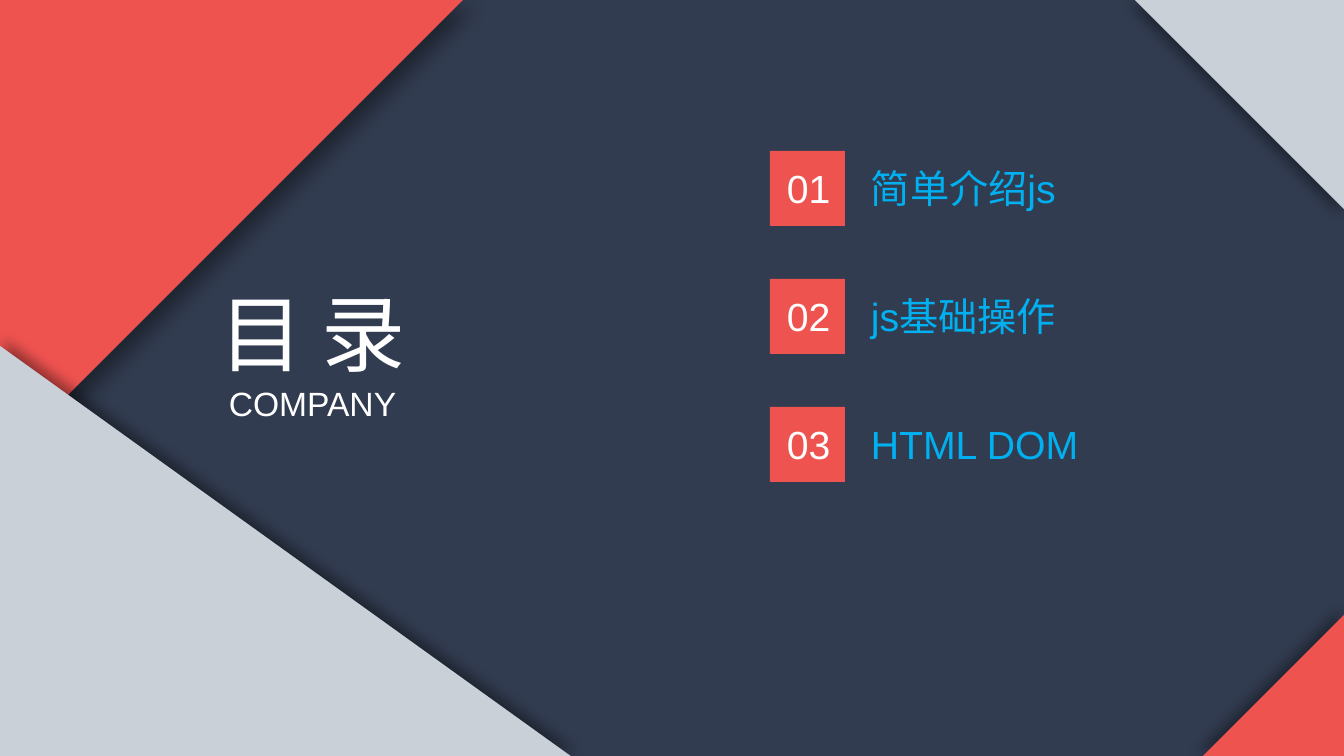
from lxml.etree import SubElement
from pptx import Presentation
from pptx.dml.color import RGBColor
from pptx.enum.shapes import MSO_SHAPE as SHAPE
from pptx.enum.text import MSO_AUTO_SIZE as AUTO, PP_ALIGN as ALIGN
from pptx.oxml.ns import qn
from pptx.util import Pt

PX = 12192000 / 1344  # EMU in one px
NAVY, RED, GREY = "323C50", "EF5350", "CAD0D8"
WHITE, BLUE = "FFFFFF", "00B0F0"


def px(n):
    return round(n * PX)


def rgb(code):
    return RGBColor.from_string(code)


class Deck:
    font = "Arial"

    def __init__(self, width, height):
        self.prs = Presentation()
        self.prs.slide_width, self.prs.slide_height = px(width), px(height)
        self.slide = None

    def add_slide(self, color):
        self.slide = self.prs.slides.add_slide(self.prs.slide_layouts[6])
        fill = self.slide.background.fill
        fill.solid()
        fill.fore_color.rgb = rgb(color)

    def shape(self, kind, box, color):
        sp = self.slide.shapes.add_shape(kind, *map(px, box))
        sp.shadow.inherit = False
        sp.fill.solid()
        sp.fill.fore_color.rgb = rgb(color)
        sp.line.fill.background()
        return sp

    def corner(self, box, color, rotation, flip, blur, dist, angle):
        """Right triangle with a soft shadow falling towards angle."""
        sp = self.shape(SHAPE.RIGHT_TRIANGLE, box, color)
        sp.rotation = rotation
        spPr = sp._element.spPr
        if flip:
            spPr.find(qn("a:xfrm")).set(flip, "1")
        shadow = SubElement(spPr.find(qn("a:effectLst")), qn("a:outerShdw"),
                            blurRad=str(Pt(blur)), dist=str(Pt(dist)),
                            dir=str(angle * 60000), algn="ctr", rotWithShape="0")
        black = SubElement(shadow, qn("a:srgbClr"), val="000000")
        SubElement(black, qn("a:alpha"), val="40000")

    def text(self, box, lines, color, align=ALIGN.LEFT, wrap=False):
        sp = self.slide.shapes.add_textbox(*map(px, box))
        tf = sp.text_frame
        tf.word_wrap = wrap
        tf.auto_size = AUTO.SHAPE_TO_FIT_TEXT
        for i, (words, size) in enumerate(lines):
            p = tf.add_paragraph() if i else tf.paragraphs[0]
            p.alignment = align
            r = p.add_run()
            r.text = words
            r.font.name = self.font
            r.font.size = Pt(size)
            r.font.color.rgb = rgb(color)


def main():
    deck = Deck(1344, 756)
    deck.add_slide(NAVY)

    # Corner triangles behind the text
    deck.corner((1135, 0, 209, 209), GREY, 90, "flipV", 10, 5, 135)
    deck.corner((0, 0, 463, 463), RED, 0, "flipV", 15, 10, 45)
    deck.corner((1203, 615, 141, 141), RED, 270, None, 10, 5, 225)

    # Title
    deck.text((205, 277, 215, 152), [("目 录", 60), ("COMPANY", 24)],
              WHITE, ALIGN.CENTER)

    # Contents list
    for i, topic in enumerate(["简单介绍js", "js基础操作", "HTML DOM"]):
        top = 151 + 128 * i
        deck.shape(SHAPE.RECTANGLE, (770, top, 75, 75), RED)
        deck.text((777, top + 8, 65, 57), [(f"{i + 1:02}", 28)], WHITE)
        deck.text((861, top + 8, 297, 57), [(topic, 28)], BLUE, wrap=True)

    # Bottom-left triangle, over the red corner
    deck.corner((80, 265, 411, 572), GREY, 90, "flipH", 10, 5, 315)

    deck.prs.save("out.pptx")


if __name__ == "__main__":
    main()
